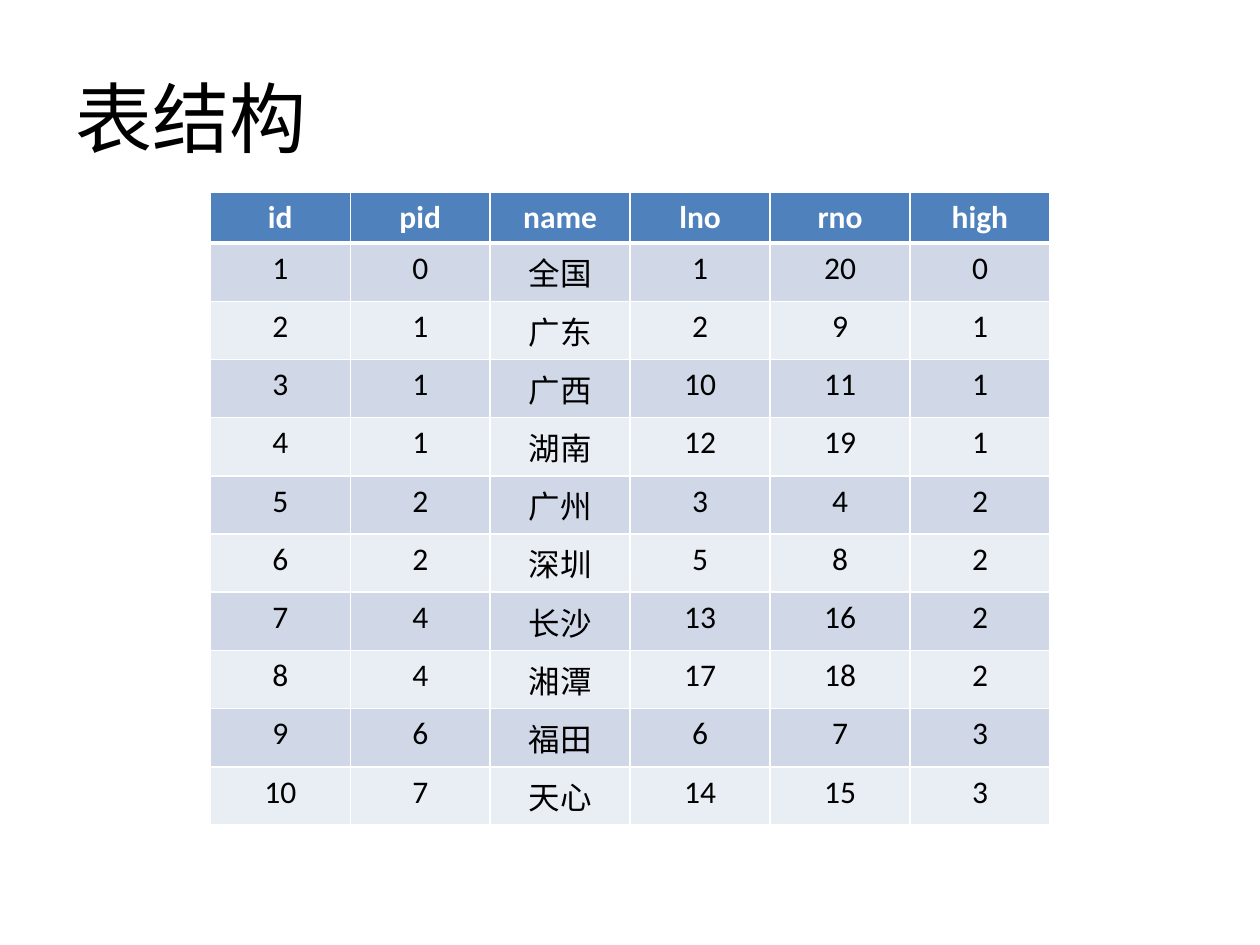
from lxml.etree import SubElement
from pptx import Presentation
from pptx.dml.color import RGBColor
from pptx.enum.text import MSO_ANCHOR, PP_ALIGN
from pptx.oxml.ns import qn
from pptx.util import Cm, Pt

FONT = "Calibri"
BLACK = RGBColor(0x00, 0x00, 0x00)
WHITE = RGBColor(0xFF, 0xFF, 0xFF)
BLUE = RGBColor(0x4F, 0x81, 0xBD)
BAND_DARK = RGBColor(0xD0, 0xD8, 0xE8)
BAND_LIGHT = RGBColor(0xE9, 0xED, 0xF4)
HEADER_HEIGHT = Cm(1.03)

HEADER = ("id", "pid", "name", "lno", "rno", "high")
RECORDS = (
    (1, 0, "全国", 1, 20, 0),
    (2, 1, "广东", 2, 9, 1),
    (3, 1, "广西", 10, 11, 1),
    (4, 1, "湖南", 12, 19, 1),
    (5, 2, "广州", 3, 4, 2),
    (6, 2, "深圳", 5, 8, 2),
    (7, 4, "长沙", 13, 16, 2),
    (8, 4, "湘潭", 17, 18, 2),
    (9, 6, "福田", 6, 7, 3),
    (10, 7, "天心", 14, 15, 3),
)


def add_run(p, text, size, color, bold=False):
    """Append one formatted run to a paragraph."""
    r = p.add_run()
    r.text = text
    r.font.name = FONT
    r.font.size = Pt(size)
    r.font.bold = bold
    r.font.color.rgb = color


def set_borders(cell, top, bottom):
    """Give a cell white borders, with the top and bottom widths in points."""
    tc_pr = cell._tc.get_or_add_tcPr()
    for side, width in (("L", 1), ("R", 1), ("T", top), ("B", bottom)):
        ln = SubElement(tc_pr, qn(f"a:ln{side}"), w=str(Pt(width)))
        fill = SubElement(ln, qn("a:solidFill"))
        SubElement(fill, qn("a:srgbClr"), val=str(WHITE))


def add_title(s, left, top, width, height, text):
    """Place the slide title, centred vertically in its box."""
    tf = s.shapes.add_textbox(left, top, width, height).text_frame
    tf.word_wrap = True
    tf.vertical_anchor = MSO_ANCHOR.MIDDLE
    add_run(tf.paragraphs[0], text, 44, BLACK)


def add_records(s, left, top, width, height, header, records):
    """Place the banded table: a header row, then equal rows in the rest."""
    rows = (header, *records)
    table = s.shapes.add_table(len(rows), len(header), left, top, width, height).table
    record_height = (height - HEADER_HEIGHT) // len(records)
    for i, row in enumerate(rows):
        is_header = i == 0
        band = BAND_DARK if i % 2 else BAND_LIGHT
        table.rows[i].height = HEADER_HEIGHT if is_header else record_height
        for j, value in enumerate(row):
            cell = table.cell(i, j)
            set_borders(cell, 3 if i == 1 else 1, 3 if is_header else 1)
            cell.fill.solid()
            cell.fill.fore_color.rgb = BLUE if is_header else band
            p = cell.text_frame.paragraphs[0]
            p.alignment = PP_ALIGN.CENTER
            add_run(p, str(value), 18, WHITE if is_header else BLACK, is_header)


def main():
    """Build the slide and save it."""
    prs = Presentation()
    prs.slide_width, prs.slide_height = Cm(25.4), Cm(19.05)
    s = prs.slides.add_slide(prs.slide_layouts[6])
    add_title(s, Cm(1.27), Cm(0.76), Cm(22.86), Cm(3.18), "表结构")
    add_records(s, Cm(4.24), Cm(3.87), Cm(16.93), Cm(12.76), HEADER, RECORDS)
    prs.save("out.pptx")


if __name__ == "__main__":
    main()
